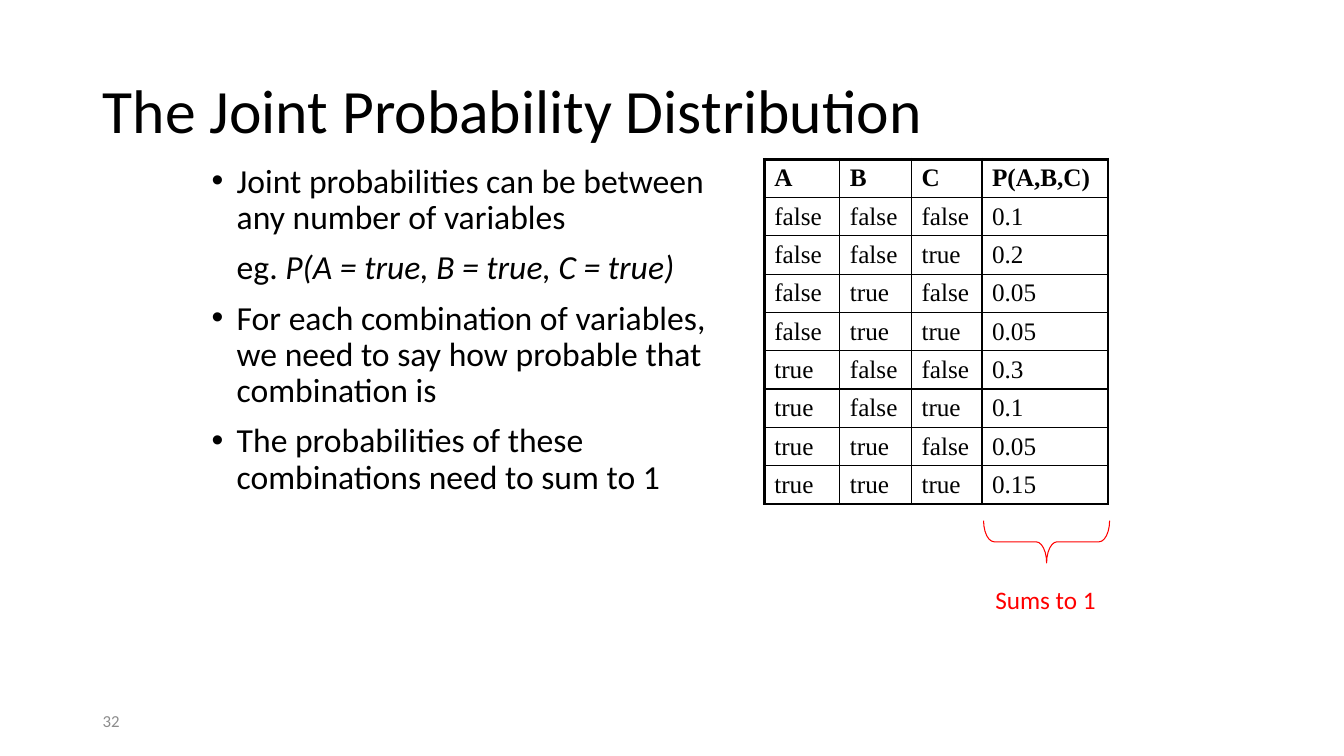
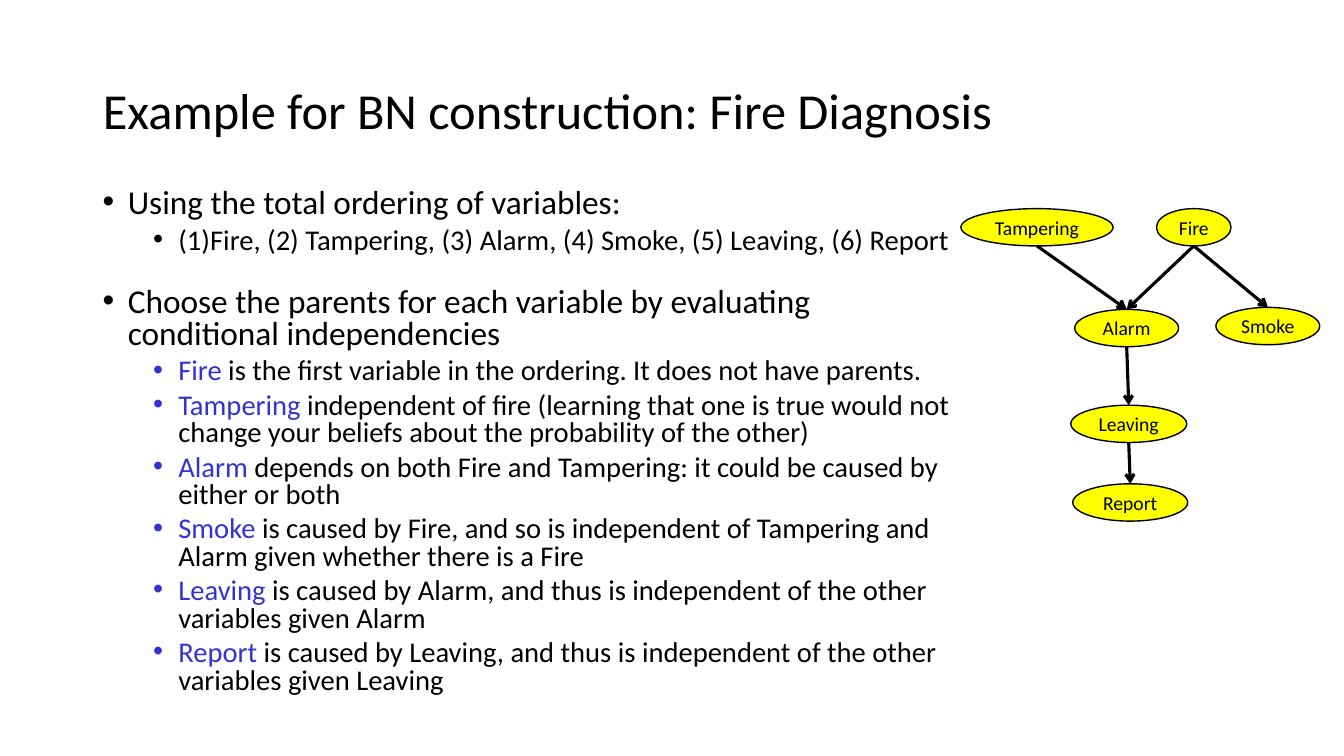
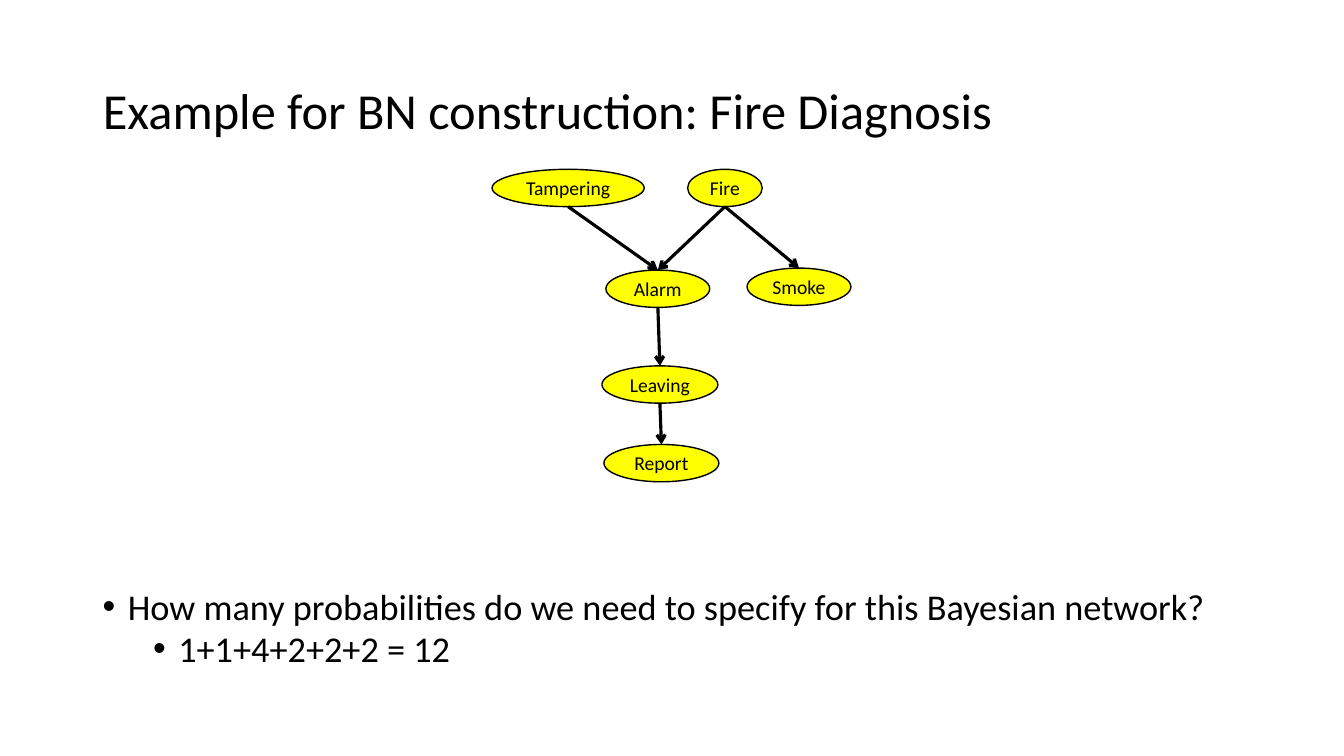
from dataclasses import dataclass

from lxml import etree
from pptx import Presentation
from pptx.dml.color import RGBColor
from pptx.enum.shapes import MSO_CONNECTOR, MSO_SHAPE
from pptx.enum.text import MSO_ANCHOR, MSO_AUTO_SIZE, PP_ALIGN
from pptx.oxml.ns import qn
from pptx.util import Inches, Pt

LEFT, CENTER = PP_ALIGN.LEFT, PP_ALIGN.CENTER
MIDDLE = MSO_ANCHOR.MIDDLE
NO_AUTOFIT = MSO_AUTO_SIZE.NONE
ELLIPSE, RIGHT_BRACE = MSO_SHAPE.OVAL, MSO_SHAPE.RIGHT_BRACE
STRAIGHT = MSO_CONNECTOR.STRAIGHT

# Shared style
BLACK, GRAY, RED, YELLOW, BLUE = "000000", "8C8C8C", "FF0000", "FFFF00", "3233D0"
BODY_FONT, TABLE_FONT = "Calibri", "Times New Roman"
MARGIN, CONTENT_WIDTH = 0.92, 11.5
TITLE_ONLY = 5
NODE_HEIGHT = 0.37


@dataclass(frozen=True)
class Run:
    text: str
    color: str = BLACK
    italic: bool = False


@dataclass(frozen=True)
class Item:
    runs: tuple[Run, ...]
    size: float
    level: int = 0
    bullet: bool = True
    space_before: float = 10


@dataclass(frozen=True)
class Node:
    name: str
    left: float
    top: float
    width: float

    def anchor(self, bottom: bool) -> tuple[float, float]:
        return self.left + self.width / 2, self.top + NODE_HEIGHT * bottom


FIRE_NODES = (
    Node("Tampering", 9.53, 2.07, 1.51),
    Node("Fire", 11.47, 2.07, 0.74),
    Node("Alarm", 10.66, 3.07, 1.03),
    Node("Smoke", 12.06, 3.05, 1.03),
    Node("Leaving", 10.62, 4.02, 1.15),
    Node("Report", 10.64, 4.8, 1.14),
)
FIRE_EDGES = (
    ("Tampering", "Alarm"),
    ("Fire", "Alarm"),
    ("Fire", "Smoke"),
    ("Alarm", "Leaving"),
    ("Leaving", "Report"),
)
FIRE_TITLE = "Example for BN construction: Fire Diagnosis"


def rgb(color: str) -> RGBColor:
    return RGBColor.from_string(color)


def box(*lengths: float) -> list:
    return [Inches(length) for length in lengths]


def style_font(paragraph, size: float, color: str = BLACK, name: str = BODY_FONT,
               bold: bool = False) -> None:
    font = paragraph.font
    font.name, font.size, font.bold = name, Pt(size), bold
    font.color.rgb = rgb(color)


def add_titled_slide(deck, title: str, size: float):
    slide = deck.slides.add_slide(deck.slide_layouts[TITLE_ONLY])
    heading = slide.shapes.title
    heading.left, heading.top, heading.width, heading.height = box(
        MARGIN, 0.4, CONTENT_WIDTH, 1.45)
    frame = heading.text_frame
    frame.text = title
    frame.auto_size, frame.vertical_anchor = NO_AUTOFIT, MIDDLE
    paragraph = frame.paragraphs[0]
    paragraph.alignment, paragraph.line_spacing = LEFT, 0.9
    style_font(paragraph, size)
    return slide


def add_label(slide, text: str, place: list, size: float, color: str, align) -> None:
    frame = slide.shapes.add_textbox(*place).text_frame
    frame.word_wrap, frame.vertical_anchor = True, MIDDLE
    frame.text = text
    frame.paragraphs[0].alignment = align
    style_font(frame.paragraphs[0], size, color)


def add_body(slide, place: list, items: list[Item], line_spacing: float) -> None:
    frame = slide.shapes.add_textbox(*place).text_frame
    frame.word_wrap = True
    for index, item in enumerate(items):
        paragraph = frame.add_paragraph() if index else frame.paragraphs[0]
        paragraph.level = item.level
        paragraph.line_spacing = line_spacing
        paragraph.space_before = Pt(item.space_before)
        # Hanging indent and bullet
        properties = paragraph._p.get_or_add_pPr()
        properties.set("marL", str(Inches(0.25 + 0.5 * item.level)))
        if item.bullet:
            properties.set("indent", str(Inches(-0.25)))
            etree.SubElement(properties, qn("a:buFont"), typeface="Arial")
            etree.SubElement(properties, qn("a:buChar"), char="•")
        style_font(paragraph, item.size)
        for part in item.runs:
            run = paragraph.add_run()
            run.text = part.text
            if part.color != BLACK:
                run.font.color.rgb = rgb(part.color)
            if part.italic:
                run.font.italic = True


def set_borders(cell, widths: dict[str, float]) -> None:
    properties = cell._tc.get_or_add_tcPr()
    for side, width in widths.items():
        line = etree.SubElement(properties, qn(f"a:ln{side}"), w=str(Pt(width)))
        fill = etree.SubElement(line, qn("a:solidFill"))
        etree.SubElement(fill, qn("a:srgbClr"), val=BLACK)


def add_probability_table(slide, rows: list[tuple[str, ...]]) -> None:
    column_widths = (0.75, 0.71, 0.7, 1.25)
    height, thin, thick = 3.4, 1, 2.25
    table = slide.shapes.add_table(
        len(rows), len(column_widths),
        *box(7.58, 1.58, sum(column_widths), height)).table
    table.first_row = table.horz_banding = False
    for column, width in zip(table.columns, column_widths):
        column.width = Inches(width)
    last_row, last_column = len(rows) - 1, len(column_widths) - 1
    for r, values in enumerate(rows):
        table.rows[r].height = Inches(height / len(rows))
        for c, value in enumerate(values):
            cell = table.cell(r, c)
            cell.text = value
            cell.vertical_anchor = MIDDLE
            cell.margin_top = cell.margin_bottom = Inches(0.04)
            style_font(cell.text_frame.paragraphs[0], 18, name=TABLE_FONT, bold=r == 0)
            set_borders(cell, {
                "L": thick if c == 0 else thin,
                "R": thick if c == last_column else thin,
                "T": thick if r == 0 else thin,
                "B": thick if r == last_row else thin,
            })
            cell.fill.background()


def add_node(slide, node: Node) -> None:
    oval = slide.shapes.add_shape(
        ELLIPSE, *box(node.left, node.top, node.width, NODE_HEIGHT))
    oval.shadow.inherit = False
    oval.fill.solid()
    oval.fill.fore_color.rgb = rgb(YELLOW)
    oval.line.color.rgb, oval.line.width = rgb(BLACK), Pt(1)
    frame = oval.text_frame
    frame.word_wrap, frame.vertical_anchor = False, MIDDLE
    frame.margin_left = frame.margin_right = frame.margin_top = frame.margin_bottom = 0
    frame.text = node.name
    frame.paragraphs[0].alignment = CENTER
    style_font(frame.paragraphs[0], 14)


def add_arrow(slide, parent: Node, child: Node) -> None:
    arrow = slide.shapes.add_connector(
        STRAIGHT, *box(*parent.anchor(bottom=True), *child.anchor(bottom=False)))
    arrow.line.color.rgb, arrow.line.width = rgb(BLACK), Pt(2.25)
    etree.SubElement(arrow.line._get_or_add_ln(), qn("a:tailEnd"), type="arrow")
    etree.SubElement(arrow._element.spPr, qn("a:effectLst"))


def add_fire_network(slide, dx: float = 0, dy: float = 0) -> None:
    nodes = {n.name: Node(n.name, n.left + dx, n.top + dy, n.width) for n in FIRE_NODES}
    for node in nodes.values():
        add_node(slide, node)
    for parent, child in FIRE_EDGES:
        add_arrow(slide, nodes[parent], nodes[child])


def build_joint_distribution(deck) -> None:
    slide = add_titled_slide(deck, "The Joint Probability Distribution", 44)
    add_label(slide, "32", box(MARGIN, 6.95, 3, 0.4), 12, GRAY, LEFT)
    add_body(slide, box(2, 1.58, 5.33, 3.58), [
        Item((Run("Joint probabilities can be between any number of variables"),), 24),
        Item((Run("eg. "), Run("P(A = true, B = true, C = true)", italic=True)), 24,
             bullet=False),
        Item((Run("For each combination of variables, we need to say how probable "
                  "that combination is"),), 24),
        Item((Run("The probabilities of these combinations need to sum to 1"),), 24),
    ], 0.9)
    add_probability_table(slide, [
        ("A", "B", "C", "P(A,B,C)"),
        ("false", "false", "false", "0.1"),
        ("false", "false", "true", "0.2"),
        ("false", "true", "false", "0.05"),
        ("false", "true", "true", "0.05"),
        ("true", "false", "false", "0.3"),
        ("true", "false", "true", "0.1"),
        ("true", "true", "false", "0.05"),
        ("true", "true", "true", "0.15"),
    ])
    # Brace under the probability column
    brace = slide.shapes.add_shape(RIGHT_BRACE, *box(10.17, 4.75, 0.42, 1.25))
    brace.rotation = 90
    brace.adjustments[0], brace.adjustments[1] = 0.25, 0.5
    brace.shadow.inherit = False
    brace.fill.background()
    brace.line.color.rgb, brace.line.width = rgb(RED), Pt(0.75)
    add_label(slide, "Sums to 1", box(9.58, 5.75, 1.58, 0.4), 18, RED, CENTER)


def build_network_construction(deck) -> None:
    slide = add_titled_slide(deck, FIRE_TITLE, 36)
    main_size, detail_size = 23.8, 20.4
    reasons = (
        ("Fire", " is the first variable in the ordering. It does not have parents."),
        ("Tampering", " independent of fire (learning that one is true would not change "
                      "your beliefs about the probability of the other)"),
        ("Alarm", " depends on both Fire and Tampering: it could be caused by either or both"),
        ("Smoke", " is caused by Fire, and so is independent of Tampering and Alarm given "
                  "whether there is a Fire"),
        ("Leaving", " is caused by Alarm, and thus is independent of the other variables "
                    "given Alarm"),
        ("Report", " is caused by Leaving, and thus is independent of the other variables "
                   "given Leaving"),
    )
    add_body(slide, box(MARGIN, 1.83, 8.72, 5.17), [
        Item((Run("Using the total ordering of variables:"),), main_size),
        Item((Run("(1)Fire, (2) Tampering, (3) Alarm, (4) Smoke, (5) Leaving, (6) Report"),),
             detail_size, level=1, space_before=5),
        Item((Run("Choose the parents for each variable by evaluating conditional "
                  "independencies"),), main_size, space_before=23),
        *(Item((Run(variable, BLUE), Run(reason)), detail_size, level=1, space_before=5)
          for variable, reason in reasons),
    ], 0.8)
    add_fire_network(slide)


def build_probability_count(deck) -> None:
    slide = add_titled_slide(deck, FIRE_TITLE, 36)
    add_body(slide, box(MARGIN, 5.83, CONTENT_WIDTH, 0.93), [
        Item((Run("How many probabilities do we need to specify for this Bayesian "
                  "network?"),), 25.9),
        Item((Run("1+1+4+2+2+2 = 12"),), 25.9, level=1, space_before=5),
    ], 0.8)
    add_fire_network(slide, dx=-4.65, dy=-0.39)


def main() -> None:
    deck = Presentation()
    deck.slide_width, deck.slide_height = box(13.33, 7.5)
    build_joint_distribution(deck)
    build_network_construction(deck)
    build_probability_count(deck)
    deck.save("out.pptx")


if __name__ == "__main__":
    main()
